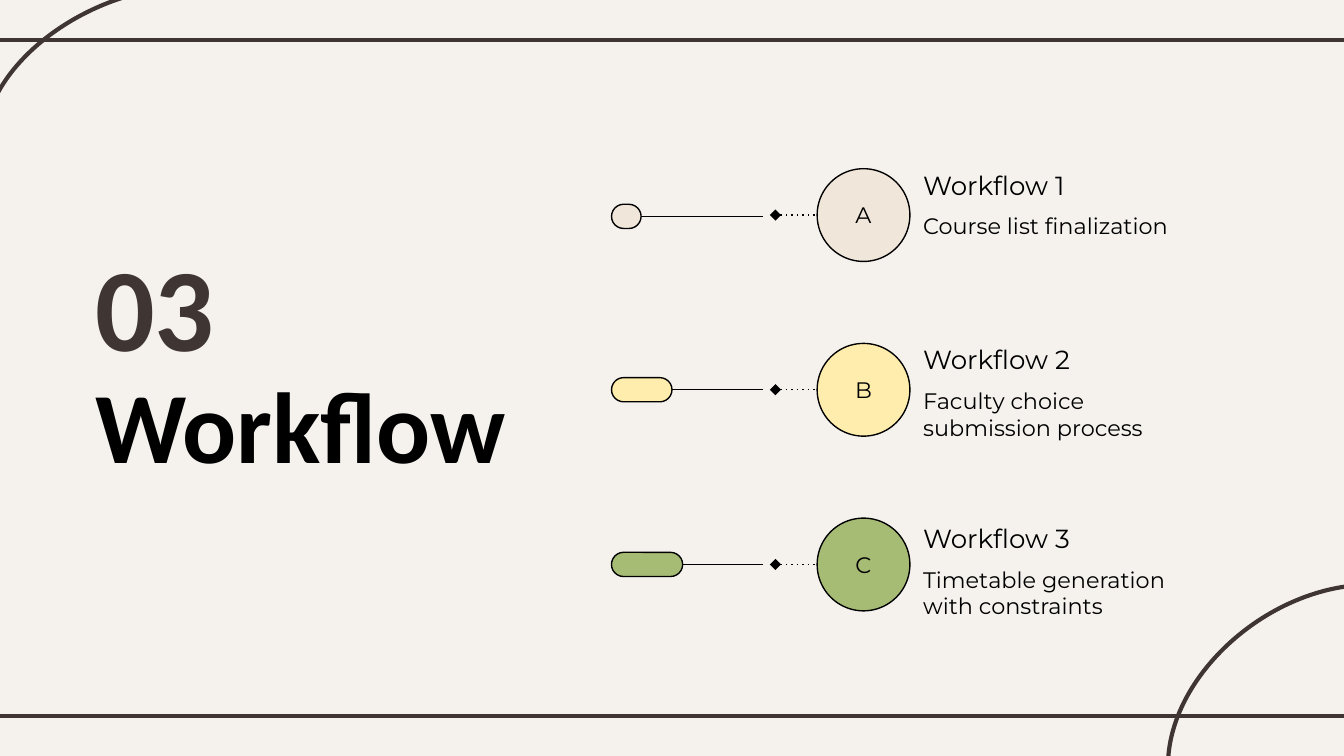
import pptx
import pptx.util
import pptx.dml.color
import pptx.enum.shapes
import pptx.enum.text
import pptx.oxml
import pptx.oxml.ns

Inches = pptx.util.Inches
Pt = pptx.util.Pt
RGBColor = pptx.dml.color.RGBColor
SHAPE = pptx.enum.shapes.MSO_SHAPE
CONNECTOR = pptx.enum.shapes.MSO_CONNECTOR
ALIGN = pptx.enum.text.PP_ALIGN
ANCHOR = pptx.enum.text.MSO_ANCHOR
qn = pptx.oxml.ns.qn

CREAM = RGBColor(0xF5, 0xF2, 0xEE)
BROWN = RGBColor(0x3F, 0x35, 0x33)
BLACK = RGBColor(0, 0, 0)
SAND = RGBColor(0xF0, 0xE6, 0xDA)
YELLOW = RGBColor(0xFF, 0xED, 0xAD)
GREEN = RGBColor(0xA6, 0xBB, 0x74)

FIRST_CENTER = 1.6
STEP_PITCH = 1.3
CIRCLE_SIZE = 0.69
PILL_HEIGHT = 0.18

STEPS = [
    ("A", "Workflow 1", "Course list finalization", SAND, 0.22, 1.61, 1.18),
    ("B", "Workflow 2", "Faculty choice submission process", YELLOW, 0.45, 2.9, 2.48),
    ("C", "Workflow 3", "Timetable generation with constraints", GREEN, 0.53, 4.2, 3.81),
]


def write(shape, text, size, font="Montserrat", color=BLACK, bold=False,
          align=ALIGN.LEFT, anchor=ANCHOR.TOP):
    frame = shape.text_frame
    frame.text = text
    frame.word_wrap = True
    frame.auto_size = pptx.enum.text.MSO_AUTO_SIZE.NONE
    frame.vertical_anchor = anchor
    frame.margin_left = frame.margin_right = Inches(0.1)
    frame.margin_top = frame.margin_bottom = Inches(0.1)
    paragraph = frame.paragraphs[0]
    paragraph.alignment = align
    paragraph.space_before = Pt(0)
    run_font = paragraph.runs[0].font
    run_font.name = font
    run_font.size = Pt(size)
    run_font.bold = bold
    run_font.color.rgb = color


def place_heading(placeholder, text, left, top, width, height, size, color):
    placeholder.left, placeholder.top = Inches(left), Inches(top)
    placeholder.width, placeholder.height = Inches(width), Inches(height)
    write(placeholder, text, size, "Calibri", color, bold=True)


def add_label(slide, text, left, top, width, height, size, anchor=ANCHOR.TOP):
    label = slide.shapes.add_textbox(
        Inches(left), Inches(top), Inches(width), Inches(height))
    write(label, text, size, anchor=anchor)


def add_outlined(slide, kind, left, top, width, height, fill):
    outlined = slide.shapes.add_shape(
        kind, Inches(left), Inches(top), Inches(width), Inches(height))
    outlined.shadow.inherit = False
    outlined.fill.solid()
    outlined.fill.fore_color.rgb = fill
    outlined.line.color.rgb = BLACK
    outlined.line.width = Pt(0.75)
    return outlined


def add_line(slide, start, end, color, weight, kind=CONNECTOR.STRAIGHT):
    line = slide.shapes.add_connector(
        kind, *[Inches(value) for value in (*start, *end)])
    line.line.color.rgb = color
    line.line.width = Pt(weight)
    properties = line._element.spPr
    properties.append(pptx.oxml.parse_xml(
        f'<a:effectLst {pptx.oxml.ns.nsdecls("a")}/>'))
    return line


def add_corner_arc(slide, left, top, right, bottom):
    arc = add_line(slide, (left, bottom), (right, top), BROWN, 2.25, CONNECTOR.CURVE)
    properties = arc._element.spPr
    properties.find(qn("a:prstGeom")).set("prst", "curvedConnector2")
    properties.find(qn("a:xfrm")).set("rot", "10800000")


def add_dotted_link(slide, start, end):
    link = add_line(slide, start, end, BLACK, 0.75)
    outline = link._element.spPr.find(qn("a:ln"))
    for tag, attribute, value in (("prstDash", "val", "dot"),
                                  ("headEnd", "type", "diamond")):
        outline.append(pptx.oxml.parse_xml(
            f'<a:{tag} {pptx.oxml.ns.nsdecls("a")} {attribute}="{value}"/>'))


def add_step(slide, index, letter, name, detail, color, pill_width, rail_y, text_top):
    center = FIRST_CENTER + index * STEP_PITCH
    add_label(slide, detail, 6.77, text_top + 0.3, 2.15, 0.53, 12)
    add_label(slide, name, 6.77, text_top, 2.15, 0.39, 14, ANCHOR.MIDDLE)
    circle = add_outlined(slide, SHAPE.OVAL, 6.08, center - CIRCLE_SIZE / 2,
                          CIRCLE_SIZE, CIRCLE_SIZE, color)
    write(circle, letter, 12, align=ALIGN.CENTER, anchor=ANCHOR.MIDDLE)
    add_dotted_link(slide, (5.77, center), (6.08, center))
    add_line(slide, (4.55, rail_y), (5.68, rail_y), BLACK, 0.75)
    pill = add_outlined(slide, SHAPE.ROUNDED_RECTANGLE, 4.55, rail_y - PILL_HEIGHT / 2,
                        pill_width, PILL_HEIGHT, color)
    pill.adjustments[0] = 0.5


def main():
    presentation = pptx.Presentation()
    presentation.slide_width = Inches(10)
    presentation.slide_height = Inches(10 * 9 / 16)
    slide = presentation.slides.add_slide(presentation.slide_layouts[0])
    slide.background.fill.solid()
    slide.background.fill.fore_color.rgb = CREAM

    for rule_y in (0.3, 5.33):
        add_line(slide, (-0.08, rule_y), (10.08, rule_y), BROWN, 2.25)
    add_corner_arc(slide, 8.69, 4.35, 10.2, 5.7)
    add_corner_arc(slide, -0.12, -0.1, 1.43, 1.07)

    place_heading(slide.shapes.title, "Workflow", 0.61, 2.6, 8.1, 0.9, 54, BLACK)
    place_heading(slide.placeholders[1], "03", 0.61, 1.64, 1.8, 1.07, 63, BROWN)

    for index, step in enumerate(STEPS):
        add_step(slide, index, *step)

    presentation.save("out.pptx")


if __name__ == "__main__":
    main()
